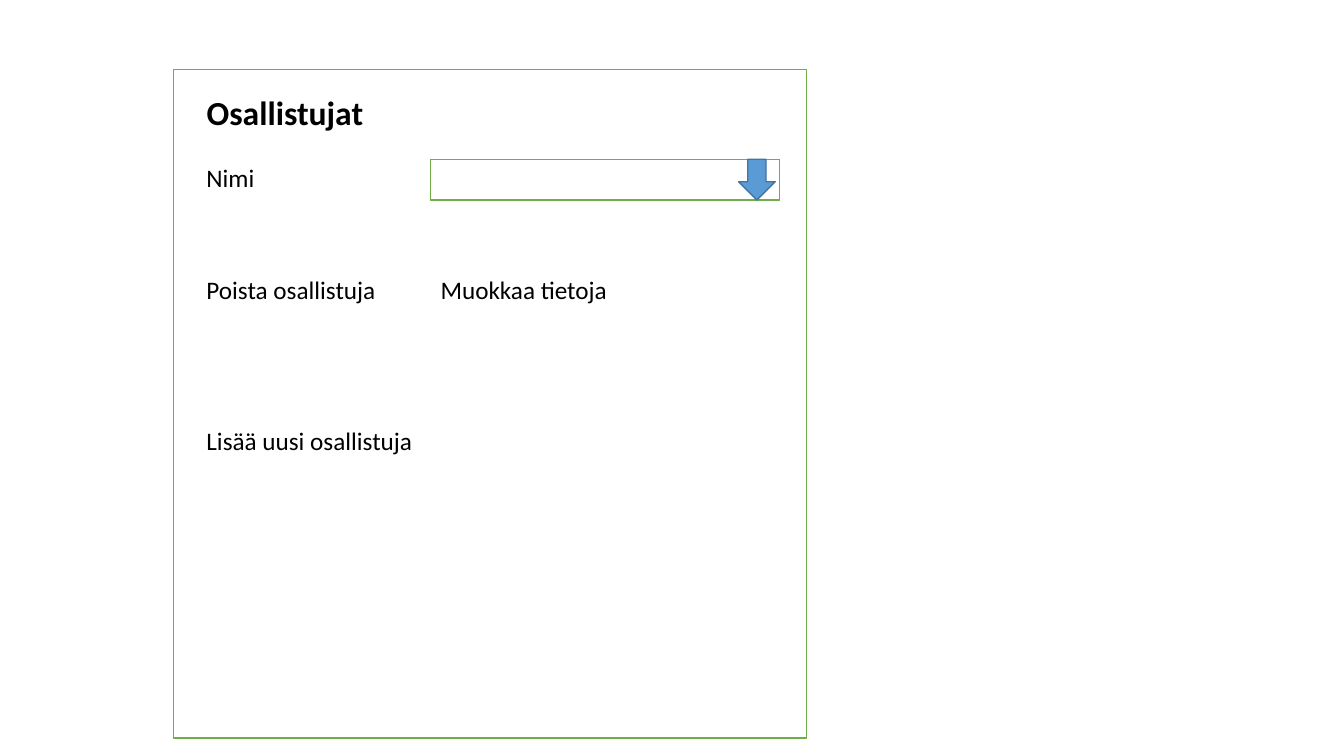
from dataclasses import dataclass

from pptx import Presentation
from pptx.dml.color import RGBColor
from pptx.enum.shapes import MSO_SHAPE as Preset
from pptx.enum.text import MSO_ANCHOR as Anchor, MSO_AUTO_SIZE as AutoSize, PP_ALIGN as Align
from pptx.util import Pt


@dataclass(frozen=True)
class Theme:
    font: str = "Calibri"
    heading_size: int = 24
    label_size: int = 18
    text: str = "000000"
    surface: str = "FFFFFF"
    border: str = "70AD47"
    arrow: str = "5B9BD5"
    arrow_border: str = "43739E"
    line_width: int = 1


class FormSlide:
    def __init__(self, presentation, theme):
        self.theme = theme
        title_only = presentation.slide_layouts[5]
        self.slide = presentation.slides.add_slide(title_only)

    def set_text(self, shape, text, size, bold=False, wrap=False):
        frame = shape.text_frame
        frame.word_wrap = wrap
        frame.auto_size = AutoSize.SHAPE_TO_FIT_TEXT
        frame.vertical_anchor = Anchor.TOP
        paragraph = frame.paragraphs[0]
        paragraph.alignment = Align.LEFT
        run = paragraph.add_run()
        run.text = text
        run.font.name = self.theme.font
        run.font.size = Pt(size)
        run.font.bold = bold
        run.font.color.rgb = RGBColor.from_string(self.theme.text)

    def title(self, text, left, top, width, height):
        shape = self.slide.shapes.title
        shape.left, shape.top = Pt(left), Pt(top)
        shape.width, shape.height = Pt(width), Pt(height)
        self.set_text(shape, text, self.theme.heading_size, bold=True, wrap=True)
        # Bring the heading in front of the panel
        tree = self.slide.shapes.element
        tree.append(shape.element)

    def label(self, text, left, top, width, height):
        shape = self.slide.shapes.add_textbox(Pt(left), Pt(top), Pt(width), Pt(height))
        self.set_text(shape, text, self.theme.label_size)

    def shape(self, preset, left, top, width, height, fill, line):
        shape = self.slide.shapes.add_shape(preset, Pt(left), Pt(top), Pt(width), Pt(height))
        shape.shadow.inherit = False
        shape.fill.solid()
        shape.fill.fore_color.rgb = RGBColor.from_string(fill)
        shape.line.color.rgb = RGBColor.from_string(line)
        shape.line.width = Pt(self.theme.line_width)

    def box(self, left, top, width, height):
        self.shape(Preset.RECTANGLE, left, top, width, height,
                   self.theme.surface, self.theme.border)

    def down_arrow(self, left, top, width, height):
        self.shape(Preset.DOWN_ARROW, left, top, width, height,
                   self.theme.arrow, self.theme.arrow_border)


presentation = Presentation()
presentation.slide_width, presentation.slide_height = Pt(960), Pt(540)
form = FormSlide(presentation, Theme())

# Shared columns and row height
label_left, field_left = 140.4, 307.6
row_height = 29.08

# Panel and heading
form.box(123.8, 49.7, 452.2, 477.4)
form.title("Osallistujat", label_left, 62, 262.8, 36.35)

# Labels and actions
for text, left, top, width in [
    ("Nimi", label_left, 112.4, 49),
    ("Poista osallistuja", label_left, 192.2, 136),
    ("Muokkaa tietoja", field_left, 192.2, 134.6),
    ("Lisää uusi osallistuja", label_left, 300.4, 162.7),
]:
    form.label(text, left, top, width, row_height)

# Name drop-down
field_top = 113.8
form.box(field_left, field_top, 249.1, row_height)
form.down_arrow(527.6, field_top, 26.1, row_height)

presentation.save("out.pptx")
